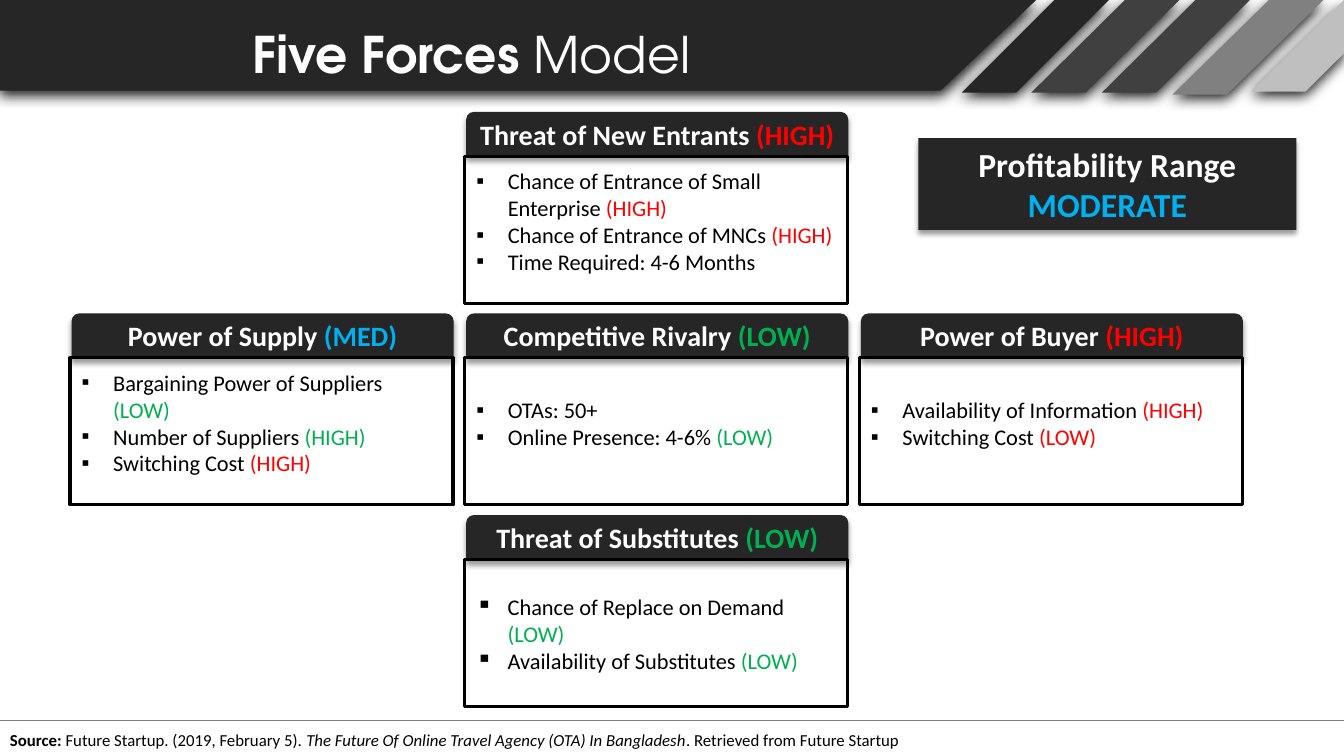
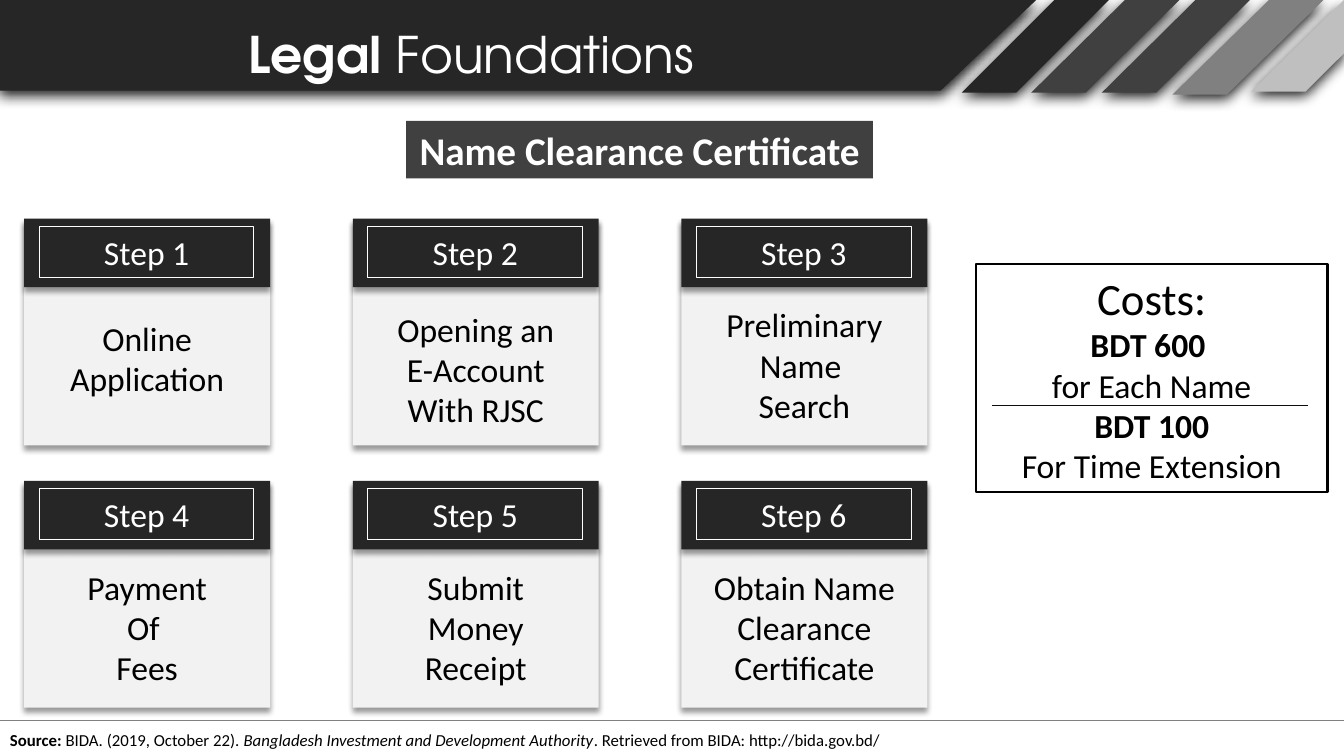
import pptx
import pptx.util
import pptx.dml.color
import pptx.enum.shapes
import pptx.enum.text
import pptx.oxml
import pptx.oxml.ns

RGB = pptx.dml.color.RGBColor
INK = RGB(0x26, 0x26, 0x26)
SLATE = RGB(0x40, 0x40, 0x40)
GREY = RGB(0x80, 0x80, 0x80)
SILVER = RGB(0xBF, 0xBF, 0xBF)
PALE = RGB(0xF2, 0xF2, 0xF2)
WHITE = RGB(0xFF, 0xFF, 0xFF)
BLACK = RGB(0, 0, 0)
RED = RGB(0xFF, 0, 0)
GREEN = RGB(0, 0xB0, 0x50)
BLUE = RGB(0, 0xB0, 0xF0)

KIND = pptx.enum.shapes.MSO_SHAPE
ALIGN = pptx.enum.text.PP_ALIGN
ANCHOR = pptx.enum.text.MSO_ANCHOR
FIT = pptx.enum.text.MSO_AUTO_SIZE

# The grid has square cells, ten to the inch
COLS, ROWS = 133.33, 75
BODY, HEAD = "Calibri", "TeX Gyre Adventor"
SOFT = (40, 4)   # shadow: opacity in percent, blur in points
DEEP = (90, 10)


def cell(count):
    return pptx.util.Emu(round(count * 91440))


def rate(word, color):
    return f"({word})", {"color": color}


def bold(text):
    return text, {"bold": True}


class Deck:
    def __init__(self):
        self.show = pptx.Presentation()
        self.show.slide_width, self.show.slide_height = cell(COLS), cell(ROWS)

    # Style
    def paint(self, shape, fill=None, line=None, width=1, shade=None):
        shape.shadow.inherit = False
        if fill is None:
            shape.fill.background()
        else:
            shape.fill.solid()
            shape.fill.fore_color.rgb = fill
        if line is None:
            shape.line.fill.background()
        else:
            shape.line.color.rgb = line
            shape.line.width = pptx.util.Pt(width)
        if shade:
            alpha, blur = shade
            space = pptx.oxml.ns.nsdecls("a")
            drop = pptx.oxml.parse_xml(
                f'<a:outerShdw {space} blurRad="{blur * 12700}" dist="38100" '
                f'dir="5400000" algn="t" rotWithShape="0"><a:srgbClr val="000000">'
                f'<a:alpha val="{alpha * 1000}"/></a:srgbClr></a:outerShdw>')
            tag = pptx.oxml.ns.qn("a:effectLst")
            shape.element.spPr.find(tag).append(drop)

    def words(self, shape, paras, size, color=BLACK, strong=False, face=BODY,
              align=ALIGN.CENTER, anchor=ANCHOR.TOP, bullet=False):
        frame = shape.text_frame
        frame.word_wrap = True
        frame.auto_size = FIT.NONE
        frame.vertical_anchor = anchor
        for place, runs in enumerate(paras):
            para = frame.add_paragraph() if place else frame.paragraphs[0]
            para.alignment = align
            para.space_before = pptx.util.Pt(0)
            if bullet:
                self.mark(para)
            for item in [runs] if isinstance(runs, (str, tuple)) else runs:
                text, look = (item, {}) if isinstance(item, str) else item
                run = para.add_run()
                run.text = text
                run.font.name = face
                run.font.size = pptx.util.Pt(look.get("size", size))
                run.font.color.rgb = look.get("color", color)
                run.font.bold = look.get("bold", strong)
                run.font.italic = look.get("italic", False)

    def mark(self, para):
        props = para._p.get_or_add_pPr()
        props.set("marL", "285750")
        props.set("indent", "-285750")
        space = pptx.oxml.ns.nsdecls("a")
        props.append(pptx.oxml.parse_xml(f'<a:buChar {space} char="▪"/>'))

    # Elements
    def box(self, x, y, w, h, kind=KIND.RECTANGLE, **look):
        shape = self.slide.shapes.add_shape(kind, cell(x), cell(y), cell(w), cell(h))
        self.paint(shape, **look)
        return shape

    def label(self, x, y, w, h, paras, size, **look):
        shape = self.slide.shapes.add_textbox(cell(x), cell(y), cell(w), cell(h))
        self.words(shape, paras, size, **look)

    def outline(self, points, fill):
        spots = [(cell(x), cell(y)) for x, y in points]
        form = self.slide.shapes.build_freeform(*spots[0], scale=1.0)
        form.add_line_segments(spots[1:], close=True)
        self.paint(form.convert_to_shape(), fill=fill, shade=DEEP)

    def rule(self, left, right, y, color, width):
        line = self.slide.shapes.add_connector(
            pptx.enum.shapes.MSO_CONNECTOR.STRAIGHT,
            cell(left), cell(y), cell(right), cell(y))
        line.line.color.rgb = color
        line.line.width = pptx.util.Pt(width)
        space = pptx.oxml.ns.nsdecls("a")
        line.element.spPr.append(pptx.oxml.parse_xml(f"<a:effectLst {space}/>"))

    def move(self, holder, x, y, w, h):
        holder.left, holder.top = cell(x), cell(y)
        holder.width, holder.height = cell(w), cell(h)
        holder.element.getparent().append(holder.element)  # bring to front

    def bullets(self, x, y, w, h, paras):
        look = {"align": ALIGN.LEFT, "bullet": True}
        if self.spare:
            holder = self.spare.pop(0)
            self.move(holder, x, y, w, h)
            self.words(holder, paras, 16, **look)
        else:
            self.label(x, y, w, h, paras, 16, **look)

    # Slide frame: band, stripes, title and source
    def start(self, layout, strong, light, source):
        self.slide = self.show.slides.add_slide(self.show.slide_layouts[layout])
        title = self.slide.shapes.title
        self.spare = [holder for holder in self.slide.placeholders
                      if holder.placeholder_format.idx]
        self.outline([(0, 0), (102.8, 0), (93.3, 9), (0, 9)], INK)
        for top, foot, low, fill in [(104.6, 95.4, 9.2, INK),
                                     (111.6, 102.3, 9.2, SLATE),
                                     (118.6, 109.3, 9.2, SLATE),
                                     (125.9, 116.3, 9.4, GREY)]:
            self.outline([(top, 0), (top + 5.4, 0), (foot + 5.4, low), (foot, low)], fill)
        self.outline([(COLS, 0), (COLS, 5.3), (129.5, 9.1), (124.1, 9.1)], SILVER)
        self.move(title, 0, 1.8, 93.5, 7.1)
        self.words(title, [[bold(strong), light]], 36, color=WHITE, face=HEAD)
        self.rule(0, COLS, 71.5, GREY, 0.75)
        before, work, after = source
        self.label(0, 71.9, 130.8, 3, [[bold("Source: "), before,
                   (work, {"italic": True}), after]], 12, align=ALIGN.LEFT)

    # Cards
    def force(self, col, row, name, grade, drop, paras):
        x, y = 7.1 + 39.15 * col, 11.1 + 20 * row
        tab = self.box(x, y, 37.9, 4.5, KIND.ROUND_2_SAME_RECTANGLE,
                       fill=INK, shade=SOFT)
        tab.text_frame.margin_left = tab.text_frame.margin_right = 0
        tab.text_frame.margin_top = cell(0.3)
        self.words(tab, [[name, grade]], 20, color=WHITE, strong=True)
        self.box(x - 0.15, y + 4.4, 38, 14.6, line=BLACK, width=2.25)
        self.bullets(x, y + 4.4 + drop, 37.5, 12, paras)

    def step(self, index, drop, lines):
        row, col = divmod(index, 3)
        x, y = 2.4 + 32.6 * col, 21.7 + 26 * row
        card = self.box(x, y + 0.1, 24.4, 22.4, fill=PALE, shade=SOFT)
        card.text_frame.margin_top = cell(drop)
        self.words(card, lines, 24)
        self.box(x, y, 24.4, 6.8, fill=INK, shade=SOFT)
        frame = self.box(x + 1.5, y + 0.8, 21.3, 5, line=WHITE, width=0.75)
        self.words(frame, [f"Step {index + 1}"], 24, color=WHITE, anchor=ANCHOR.MIDDLE)


def forces(deck):
    deck.start(4, "Five Forces ", "Model",
               ("Future Startup. (2019, February 5). ",
                "The Future Of Online Travel Agency (OTA) In Bangladesh",
                ". Retrieved from Future Startup"))
    high, low = rate("HIGH", RED), rate("LOW", GREEN)
    deck.force(1, 0, "Threat of New Entrants ", high, 0.6, [
        ["Chance of Entrance of Small Enterprise ", high],
        ["Chance of Entrance of MNCs ", high],
        "Time Required: 4-6 Months"])
    deck.force(0, 1, "Power of Supply ", rate("MED", BLUE), 0.6, [
        ["Bargaining Power of Suppliers ", low],
        ["Number of Suppliers ", rate("HIGH", GREEN)],
        ["Switching Cost ", high]])
    deck.force(1, 1, "Competitive Rivalry ", low, 3.3, [
        "OTAs: 50+",
        ["Online Presence: 4-6% ", low]])
    deck.force(2, 1, "Power of Buyer ", high, 3.3, [
        ["Availability of Information ", high],
        ["Switching Cost ", rate("LOW", RED)]])
    deck.force(1, 2, "Threat of Substitutes ", low, 2.9, [
        ["Chance of Replace on Demand ", low],
        ["Availability of Substitutes ", low]])
    # Verdict
    verdict = deck.box(91.1, 13.7, 37.5, 9.1, fill=INK, shade=SOFT)
    deck.words(verdict, ["Profitability Range", ("MODERATE", {"color": BLUE})],
               24, color=WHITE, strong=True, anchor=ANCHOR.MIDDLE)


def legal(deck):
    deck.start(5, "Legal ", "Foundations",
               ("BIDA. (2019, October 22). ",
                "Bangladesh Investment and Development Authority",
                ". Retrieved from BIDA: http://bida.gov.bd/"))
    banner = deck.box(40.3, 12, 46.3, 5.7, fill=SLATE)
    deck.words(banner, ["Name Clearance Certificate"], 28, color=WHITE,
               strong=True, anchor=ANCHOR.MIDDLE)
    steps = [(9.7, ["Online", "Application"]),
             (8.8, ["Opening an", "E-Account", "With RJSC"]),
             (8.4, ["Preliminary", "Name ", "Search"]),
             (8.4, ["Payment", "Of ", "Fees"]),
             (8.4, ["Submit", "Money", "Receipt"]),
             (8.4, ["Obtain Name", "Clearance", "Certificate"])]
    for index, (drop, lines) in enumerate(steps):
        deck.step(index, drop, lines)
    # Costs
    costs = deck.box(96.8, 26.2, 34.9, 22.6, line=BLACK, width=1.5)
    deck.words(costs, [("Costs:", {"size": 32}), bold("BDT 600 "), "for Each Name",
                       bold("BDT 100"), "For Time Extension"],
               24, anchor=ANCHOR.MIDDLE)
    deck.rule(98.4, 129.8, 40.2, RGB(0x0D, 0x0D, 0x0D), 0.5)


def main():
    deck = Deck()
    forces(deck)
    legal(deck)
    deck.show.save("out.pptx")


if __name__ == "__main__":
    main()
